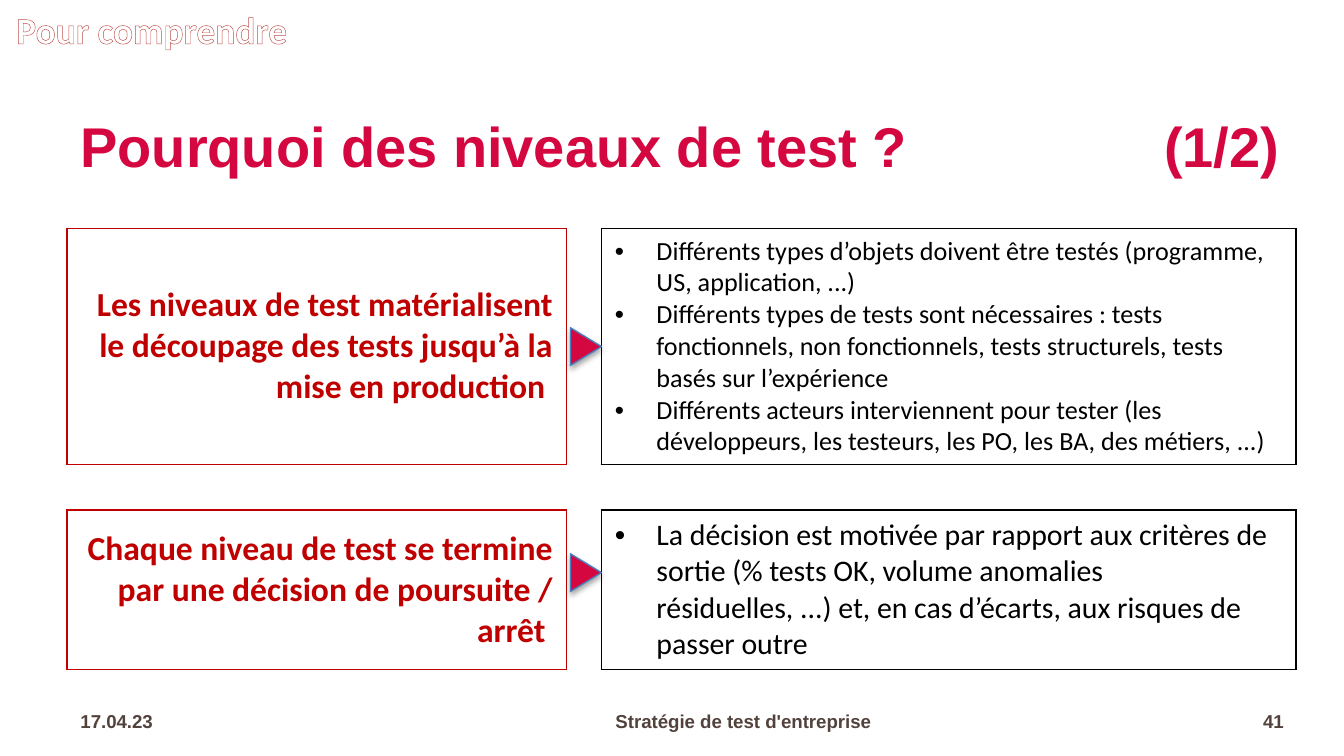
from dataclasses import dataclass
from itertools import product

from lxml import etree
from pptx import Presentation, util as u
from pptx.dml.color import RGBColor
from pptx.enum import shapes, text
from pptx.oxml import ns, parse_xml

LEFT, CENTER, RIGHT = text.PP_ALIGN.LEFT, text.PP_ALIGN.CENTER, text.PP_ALIGN.RIGHT
TOP, MIDDLE = text.MSO_ANCHOR.TOP, text.MSO_ANCHOR.MIDDLE
SLIDE_W = u.Inches(10)
SLIDE_H = u.Emu(SLIDE_W * 9 // 16)


@dataclass(frozen=True)
class Theme:
    """Colours, fonts and type sizes of the slide."""
    accent: str = "D40740"
    claim: str = "C00000"
    ink: str = "000000"
    footer: str = "52423C"
    marker_line: str = "4B7EBC"
    tag_fill: str = "FFFFFF"
    tag_line: str = "C0504D"
    heading: str = "Arial"
    body: str = "Calibri"
    title_pt: int = 30
    tag_pt: int = 20
    claim_pt: int = 18
    footer_pt: int = 10


T = Theme()
COLUMNS = (37.15, 2.6, 51.7)
ROWS = (31.25, 6, 21.15)
ARGUMENTS = {
    0: ("Les niveaux de test matérialisent le découpage des tests jusqu’à la mise en production ", 14, (
        "Différents types d’objets doivent être testés (programme, US, application, ...)",
        "Différents types de tests sont nécessaires : tests fonctionnels, non fonctionnels, "
        "tests structurels, tests basés sur l’expérience",
        "Différents acteurs interviennent pour tester (les développeurs, les testeurs, "
        "les PO, les BA, des métiers, ...)")),
    2: ("Chaque niveau de test se termine par une décision de poursuite / arrêt ", 16, (
        "La décision est motivée par rapport aux critères de sortie (% tests OK, volume anomalies "
        "résiduelles, ...) et, en cas d’écarts, aux risques de passer outre",)),
}


def across(percent):
    """Return a share of the slide width."""
    return u.Emu(int(SLIDE_W * percent / 100))


def down(percent):
    """Return a share of the slide height."""
    return u.Emu(int(SLIDE_H * percent / 100))


def area(x, y, w, h):
    """Return left, top, width and height from shares of the slide."""
    return across(x), down(y), across(w), down(h)


def add_xml(parent, xml, index=None):
    """Parse a drawing element and put it into its parent."""
    child = parse_xml(xml.replace(">", f" {ns.nsdecls('a')}>", 1))
    parent.insert(len(parent) if index is None else index, child)


def style(p, font, size, color, bold=True, align=LEFT):
    """Format a paragraph and its runs."""
    p.alignment = align
    for r in p.runs:
        r.font.name, r.font.size, r.font.bold = font, u.Pt(size), bold
        r.font.color.rgb = RGBColor.from_string(color)


def add_text(s, place, words, font, size, color, align=LEFT, anchor=MIDDLE):
    """Add a one-paragraph text box and return its paragraph."""
    tf = s.shapes.add_textbox(*area(*place)).text_frame
    tf.word_wrap, tf.vertical_anchor = True, anchor
    p = tf.paragraphs[0]
    p.text = words
    style(p, font, size, color, align=align)
    return p


def add_title(s):
    """Add the title with its page count on a right tab."""
    p = add_text(s, (5, 10.5, 91.5, 18.5), "Pourquoi des niveaux de test ?\t(1/2)",
                 T.heading, T.title_pt, T.accent)
    p.line_spacing = 0.9
    add_xml(p._p.get_or_add_pPr(),
            f'<a:tabLst><a:tab pos="{across(89.2)}" algn="r"/></a:tabLst>')


def add_tag(s):
    """Add the outlined tag in the corner."""
    p = add_text(s, (0, 0, 22.6, 7.8), "Pour comprendre",
                 T.body, T.tag_pt, T.tag_fill, CENTER, TOP)
    add_xml(p.runs[0].font._element,
            f'<a:ln w="{u.Pt(0.52)}"><a:solidFill><a:srgbClr val="{T.tag_line}"/></a:solidFill></a:ln>', 0)


def add_marker(s, y):
    """Add a shadowed triangle pointing right."""
    sp = s.shapes.add_shape(shapes.MSO_SHAPE.ISOSCELES_TRIANGLE, *area(42.2, y, 2.8, 4.1))
    sp.rotation = 90
    sp.fill.solid()
    sp.fill.fore_color.rgb = RGBColor.from_string(T.accent)
    sp.line.color.rgb = RGBColor.from_string(T.marker_line)
    sp.line.width = u.Pt(0.75)
    sp.shadow.inherit = False
    effects = sp._element.spPr.find(ns.qn("a:effectLst"))
    add_xml(effects, f'<a:outerShdw blurRad="{u.Pt(3.1)}" dist="{u.Pt(1.8)}" dir="5400000" rotWithShape="0">'
                     '<a:srgbClr val="000000"><a:alpha val="35000"/></a:srgbClr></a:outerShdw>')


def edge_colors(row, col):
    """Return the visible edges of a cell with their colours."""
    if col == 1:
        return {} if row == 1 else {"L": T.claim, "R": T.ink}
    return dict.fromkeys("TB" if row == 1 else "LRTB", T.ink if col else T.claim)


def draw_edges(cell, colors):
    """Draw the four edges of a cell, hiding those without a colour."""
    tc_pr = cell._tc.get_or_add_tcPr()
    for i, side in enumerate("LRTB"):
        paint = (f'<a:solidFill><a:srgbClr val="{colors[side]}"/></a:solidFill>'
                 if side in colors else "<a:noFill/>")
        add_xml(tc_pr, f'<a:ln{side} w="{u.Pt(1)}">{paint}</a:ln{side}>', i)


def fill_bullets(cell, items, size):
    """Write a bulleted list into a cell."""
    tf = cell.text_frame
    tf.text = "\n".join(items)
    for p in tf.paragraphs:
        p_pr = p._p.get_or_add_pPr()
        p_pr.set("marL", str(across(3.1)))
        p_pr.set("indent", str(-across(3.1)))
        etree.SubElement(p_pr, ns.qn("a:buFont"), typeface=T.heading)
        etree.SubElement(p_pr, ns.qn("a:buChar"), char="•")
        style(p, T.body, size, T.ink, bold=False)


def add_arguments(s):
    """Add the table that sets each claim beside its reasons."""
    frame = s.shapes.add_table(len(ROWS), len(COLUMNS),
                               *area(5, 30.2, sum(COLUMNS), sum(ROWS)))
    table = frame.table
    table.first_row = table.horz_banding = False
    for column, width in zip(table.columns, COLUMNS):
        column.width = across(width)
    for row, height in zip(table.rows, ROWS):
        row.height = down(height)
    for row, col in product(range(len(ROWS)), range(len(COLUMNS))):
        cell = table.cell(row, col)
        cell.fill.background()
        draw_edges(cell, edge_colors(row, col))
        if row not in ARGUMENTS or col == 1:
            cell.margin_top = cell.margin_bottom = 0
    for row, (claim, size, reasons) in ARGUMENTS.items():
        cell = table.cell(row, 0)
        cell.vertical_anchor = MIDDLE
        cell.text_frame.text = claim
        style(cell.text_frame.paragraphs[0], T.body, T.claim_pt, T.claim, align=RIGHT)
        fill_bullets(table.cell(row, 2), reasons, size)
        table.cell(row, 2).vertical_anchor = MIDDLE if row == 0 else TOP


def add_footer(s):
    """Add the date, the course name and the page number."""
    for x, w, words, align in ((5, 14.2, "17.04.23", LEFT),
                               (19.5, 71.6, "Stratégie de test d'entreprise", CENTER),
                               (91.3, 5.2, "41", RIGHT)):
        add_text(s, (x, 92.7, w, 5.3), words, T.heading, T.footer_pt, T.footer, align)


def main():
    """Build and save the slide."""
    prs = Presentation()
    prs.slide_width, prs.slide_height = SLIDE_W, SLIDE_H
    s = prs.slides.add_slide(prs.slide_layouts[6])
    add_title(s)
    add_footer(s)
    add_arguments(s)
    for y in (43.8, 73.7):
        add_marker(s, y)
    add_tag(s)
    prs.save("out.pptx")


if __name__ == "__main__":
    main()
